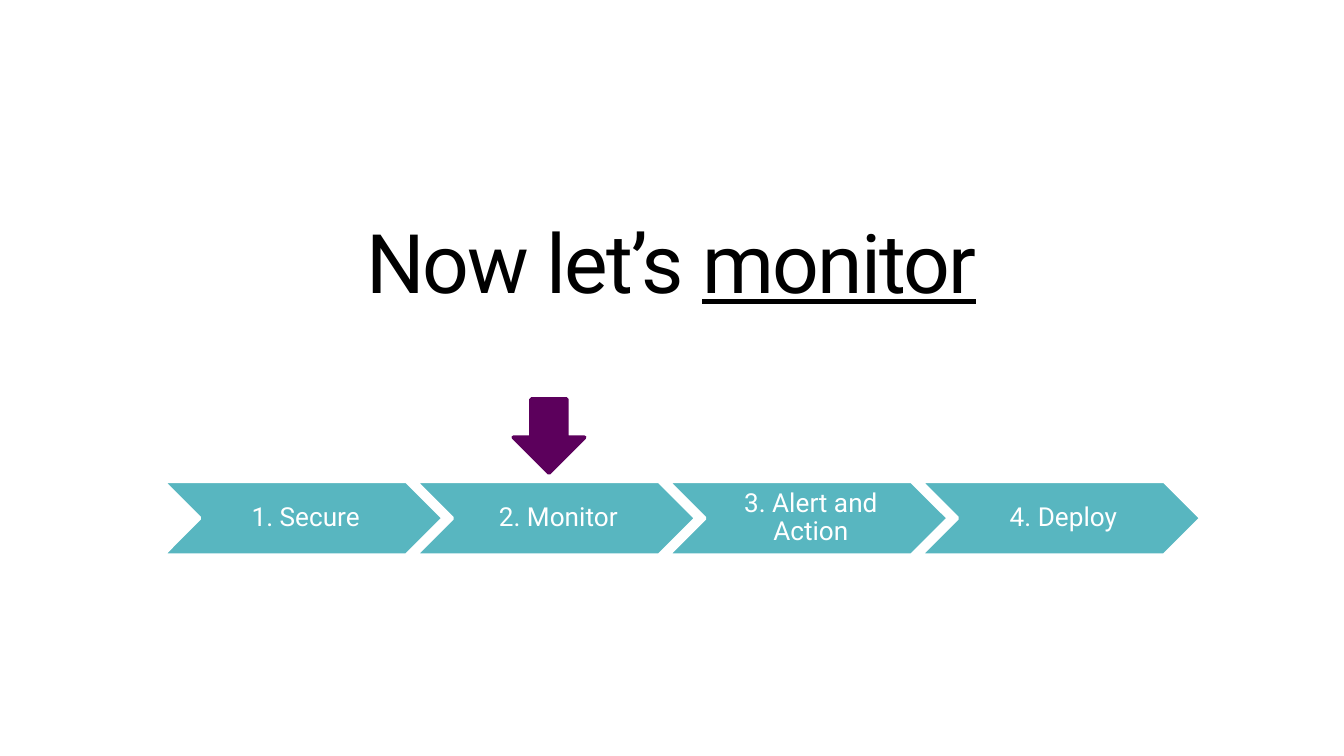
from dataclasses import dataclass

from pptx import Presentation
from pptx.dml.color import RGBColor
from pptx.enum.shapes import MSO_SHAPE
from pptx.enum.text import MSO_ANCHOR, PP_ALIGN
from pptx.util import Pt

CHEVRON = MSO_SHAPE.CHEVRON
DOWN_ARROW = MSO_SHAPE.DOWN_ARROW
MIDDLE = MSO_ANCHOR.MIDDLE
CENTER = PP_ALIGN.CENTER

FONT = "Roboto"
BLACK = "000000"
WHITE = "FFFFFF"
TEAL = "58B6C0"
PURPLE = "5C005C"

STEPS = ["1. Secure", "2. Monitor", "3. Alert and Action", "4. Deploy"]
STEP_LEFT, STEP_TOP = 87.2, 257.8
STEP_WIDTH, STEP_HEIGHT = 150.4, 39.6
STEP_PITCH = 135.3
LABEL_INSET = STEP_HEIGHT / 2


@dataclass
class Box:
    left: float
    top: float
    width: float
    height: float

    def lengths(self):
        return Pt(self.left), Pt(self.top), Pt(self.width), Pt(self.height)


def color(hex_code: str) -> RGBColor:
    return RGBColor.from_string(hex_code)


def add_block(slide, kind, box: Box, fill: str, line: str):
    sp = slide.shapes.add_shape(kind, *box.lengths())
    sp.shadow.inherit = False
    sp.fill.solid()
    sp.fill.fore_color.rgb = color(fill)
    sp.line.color.rgb = color(line)
    sp.line.width = Pt(2)


def add_text(slide, box: Box, parts: list[str], size: float, hex_code: str,
             margins: tuple = (0, 0, 0, 0)):
    """Add a centred one-paragraph text box and return its runs."""
    tf = slide.shapes.add_textbox(*box.lengths()).text_frame
    tf.word_wrap = True
    tf.vertical_anchor = MIDDLE
    (tf.margin_left, tf.margin_top,
     tf.margin_right, tf.margin_bottom) = (Pt(m) for m in margins)
    p = tf.paragraphs[0]
    p.alignment = CENTER
    p.line_spacing = 0.9
    for part in parts:
        r = p.add_run()
        r.text = part
        r.font.name = FONT
        r.font.size = Pt(size)
        r.font.color.rgb = color(hex_code)
    return p.runs


def add_step(slide, index: int, label: str):
    box = Box(STEP_LEFT + index * STEP_PITCH, STEP_TOP, STEP_WIDTH, STEP_HEIGHT)
    add_block(slide, CHEVRON, box, TEAL, WHITE)
    label_box = Box(box.left + LABEL_INSET, box.top,
                    box.width - 2 * LABEL_INSET, box.height)
    add_text(slide, label_box, [label], 14, WHITE, (4.2, 1.4, 1.4, 1.4))


def main():
    prs = Presentation()
    prs.slide_width, prs.slide_height = Pt(720), Pt(405)
    slide = prs.slides.add_slide(prs.slide_layouts[6])

    title_runs = add_text(slide, Box(30.2, 118.8, 658.8, 48.2),
                          ["Now let’s ", "monitor"], 44, BLACK)
    for r in title_runs:
        r.font._element.set("spc", "-100")
    title_runs[1].font.underline = True

    for index, label in enumerate(STEPS):
        add_step(slide, index, label)
    add_block(slide, DOWN_ARROW, Box(275, 213.8, 38.2, 39.6), PURPLE, PURPLE)

    prs.save("out.pptx")


if __name__ == "__main__":
    main()
